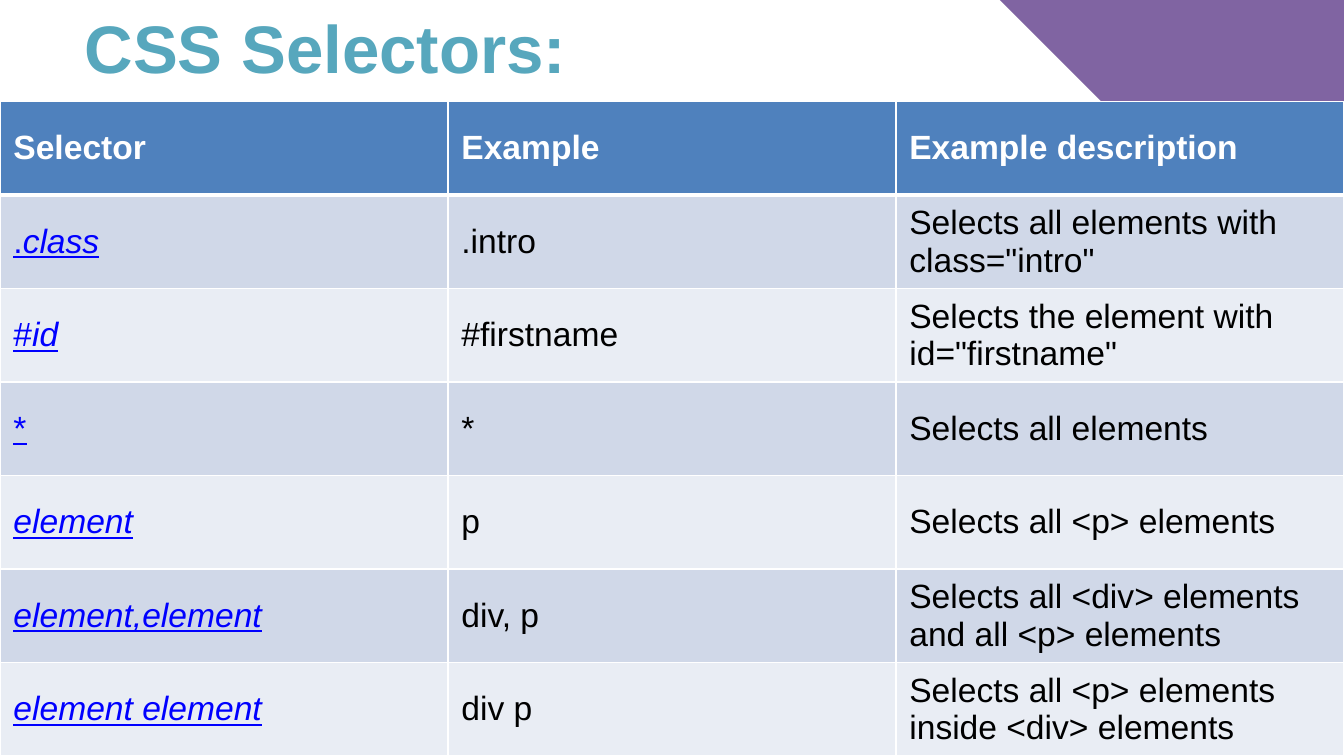
from lxml.etree import SubElement
from pptx import Presentation
from pptx.dml.color import RGBColor
from pptx.enum.shapes import MSO_SHAPE
from pptx.enum.text import MSO_ANCHOR, MSO_AUTO_SIZE, PP_ALIGN
from pptx.oxml.ns import qn
from pptx.util import Inches, Pt

COLORS = {
    "accent": "8064A2",
    "title": "57A7BD",
    "header": "4F81BD",
    "odd_row": "D0D8E8",
    "even_row": "E9EDF4",
    "link": "0000FF",
    "text": "000000",
    "white": "FFFFFF",
}
FONT = "Arial"
PAGE_WIDTH = 10
PAGE_HEIGHT = PAGE_WIDTH * 9 / 16

HEADINGS = ["Selector", "Example", "Example description"]
# Each selector is a list of (text, italic) parts
SELECTORS = [
    ([(".", False), ("class", True)], ".intro",
     'Selects all elements with class="intro"'),
    ([("#", False), ("id", True)], "#firstname",
     'Selects the element with id="firstname"'),
    ([("*", False)], "*", "Selects all elements"),
    ([("element", True)], "p", "Selects all <p> elements"),
    ([("element,element", True)], "div, p",
     "Selects all <div> elements and all <p> elements"),
    ([("element", True), (" ", False), ("element", True)], "div p",
     "Selects all <p> elements inside <div> elements"),
]


def color(name):
    return RGBColor.from_string(COLORS[name])


def add_span(para, text, size, color_name, bold=False, italic=False, underline=False):
    span = para.add_run()
    span.text = text
    span.font.name = FONT
    span.font.size = Pt(size)
    span.font.bold = bold
    span.font.italic = italic
    span.font.underline = underline
    span.font.color.rgb = color(color_name)


def add_corner(page, left, top, size, rotation=0):
    corner = page.shapes.add_shape(
        MSO_SHAPE.RIGHT_TRIANGLE, Inches(left), Inches(top), Inches(size), Inches(size))
    corner.rotation = rotation
    corner.shadow.inherit = False
    corner.fill.solid()
    corner.fill.fore_color.rgb = color("accent")
    corner.line.fill.background()


def place_title(page, left, top, width, height):
    title = page.shapes.title
    title.left, title.top = Inches(left), Inches(top)
    title.width, title.height = Inches(width), Inches(height)
    frame = title.text_frame
    frame.word_wrap = True
    frame.auto_size = MSO_AUTO_SIZE.NONE
    frame.vertical_anchor = MSO_ANCHOR.TOP
    para = frame.paragraphs[0]
    para.alignment = PP_ALIGN.LEFT
    add_span(para, "CSS Selectors:", 36, "title", bold=True)


def add_borders(cell, bottom_width):
    properties = cell._tc.get_or_add_tcPr()
    for side, width in (("L", 1), ("R", 1), ("T", 1), ("B", bottom_width)):
        line = SubElement(properties, qn(f"a:ln{side}"), w=str(Pt(width)))
        fill = SubElement(line, qn("a:solidFill"))
        SubElement(fill, qn("a:srgbClr"), val=COLORS["white"])


def format_cell(cell, fill_name, bottom_width=1):
    add_borders(cell, bottom_width)
    cell.fill.solid()
    cell.fill.fore_color.rgb = color(fill_name)
    cell.vertical_anchor = MSO_ANCHOR.MIDDLE
    return cell.text_frame.paragraphs[0]


def add_selector_table(page, left, top, width, height):
    row_count = len(SELECTORS) + 1
    table = page.shapes.add_table(
        row_count, len(HEADINGS),
        Inches(left), Inches(top), Inches(width), Inches(height)).table

    # Header row
    for column, heading in enumerate(HEADINGS):
        para = format_cell(table.cell(0, column), "header", bottom_width=3)
        add_span(para, heading, 18, "white", bold=True)

    # Banded rows: linked selector, then plain text
    for row, (selector, *plain_texts) in enumerate(SELECTORS, start=1):
        band = "odd_row" if row % 2 else "even_row"
        para = format_cell(table.cell(row, 0), band)
        for text, italic in selector:
            add_span(para, text, 18, "link", italic=italic, underline=True)
        for column, text in enumerate(plain_texts, start=1):
            para = format_cell(table.cell(row, column), band)
            add_span(para, text, 18, "text")


def main():
    deck = Presentation()
    deck.slide_width, deck.slide_height = Inches(PAGE_WIDTH), Inches(PAGE_HEIGHT)
    page = deck.slides.add_slide(deck.slide_layouts[5])

    # Corner triangles
    corner_size = 2.56
    add_corner(page, PAGE_WIDTH - corner_size, 0, corner_size, rotation=180)
    add_corner(page, 0, PAGE_HEIGHT - corner_size, corner_size)

    # Title, and table resting on the bottom edge
    place_title(page, 0.53, 0, 5.45, 1.84)
    table_height = 4.87
    add_selector_table(page, 0, PAGE_HEIGHT - table_height, PAGE_WIDTH, table_height)
    deck.save("out.pptx")


if __name__ == "__main__":
    main()
